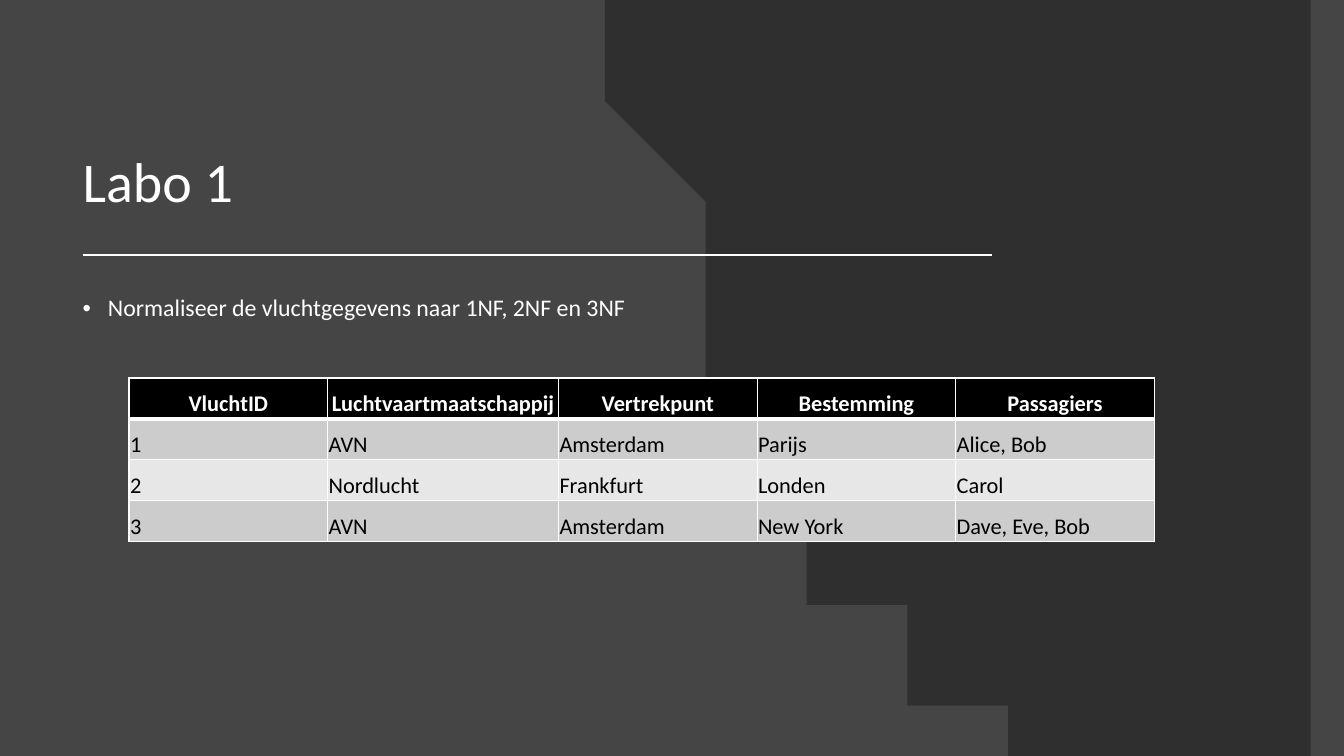
from lxml import etree
from pptx import Presentation, util as u
from pptx.dml.color import RGBColor
from pptx.enum import shapes, text
from pptx.oxml.ns import qn

Inches, Pt = u.Inches, u.Pt

WHITE = RGBColor(0xFF, 0xFF, 0xFF)
BLACK = RGBColor(0x00, 0x00, 0x00)
BACKGROUND = RGBColor(0x45, 0x45, 0x45)
CURVE = RGBColor(0x26, 0x26, 0x26)
BAND_DARK = RGBColor(0xCC, 0xCC, 0xCC)
BAND_LIGHT = RGBColor(0xE7, 0xE7, 0xE7)

FLIGHTS = [
    ["VluchtID", "Luchtvaartmaatschappij", "Vertrekpunt", "Bestemming", "Passagiers"],
    ["1", "AVN", "Amsterdam", "Parijs", "Alice, Bob"],
    ["2", "Nordlucht", "Frankfurt", "Londen", "Carol"],
    ["3", "AVN", "Amsterdam", "New York", "Dave, Eve, Bob"],
]


def bezier(p0, p1, p2, p3, steps=40):
    """Points along a cubic curve, without its start."""
    for i in range(1, steps + 1):
        t = i / steps
        weights = ((1 - t) ** 3, 3 * t * (1 - t) ** 2, 3 * t * t * (1 - t), t ** 3)
        yield tuple(sum(w * p[axis] for w, p in zip(weights, (p0, p1, p2, p3)))
                    for axis in (0, 1))


class Deck:
    font = "Calibri"

    def __init__(self, prs):
        self.s = prs.slides.add_slide(prs.slide_layouts[1])
        fill = self.s.background.fill
        fill.solid()
        fill.fore_color.rgb = BACKGROUND

    def run(self, p, words, size, color=WHITE, bold=False):
        r = p.add_run()
        r.text = words
        r.font.name, r.font.size = self.font, Pt(size)
        r.font.bold, r.font.color.rgb = bold, color

    def placeholder(self, sp, box, words, size, anchor, bullet=False):
        sp.left, sp.top, sp.width, sp.height = map(Inches, box)
        tf = sp.text_frame
        tf.word_wrap, tf.auto_size = True, text.MSO_AUTO_SIZE.NONE
        tf.vertical_anchor = anchor
        p = tf.paragraphs[0]
        p.alignment = text.PP_ALIGN.LEFT
        p.line_spacing, p.space_before = 0.9, Pt(0)
        if bullet:
            pPr = p._p.get_or_add_pPr()
            pPr.set("marL", str(Inches(0.25)))
            pPr.set("indent", str(Inches(-0.25)))
            etree.SubElement(pPr, qn("a:buFont"), typeface="Arial")
            etree.SubElement(pPr, qn("a:buChar"), char="•")
        self.run(p, words, size)

    def backdrop(self, points, color, opacity):
        builder = self.s.shapes.build_freeform(*points[0], scale=Inches(1))
        builder.add_line_segments(points[1:], close=True)
        sp = builder.convert_to_shape()
        sp.shadow.inherit = False
        sp.line.fill.background()
        sp.fill.solid()
        sp.fill.fore_color.rgb = color
        srgb = sp.fill._xPr.find(".//" + qn("a:srgbClr"))
        etree.SubElement(srgb, qn("a:alpha"), val=str(opacity * 1000))
        self.s.shapes._spTree.insert(2, sp._element)

    def rule(self, x1, x2, y, width):
        line = self.s.shapes.add_connector(
            shapes.MSO_CONNECTOR.STRAIGHT, *map(Inches, (x1, y, x2, y)))
        line.line.color.rgb, line.line.width = WHITE, Pt(width)
        etree.SubElement(line._element.spPr, qn("a:effectLst"))

    def border(self, cell, side, width):
        ln = etree.SubElement(cell._tc.get_or_add_tcPr(), qn("a:ln" + side),
                              w=str(Pt(width)))
        fill = etree.SubElement(ln, qn("a:solidFill"))
        etree.SubElement(fill, qn("a:srgbClr"), val=str(WHITE))

    def cell(self, cell, words, row):
        header = row == 0
        cell.margin_left = cell.margin_right = Inches(0.01)
        cell.margin_top = cell.margin_bottom = Inches(0.01)
        cell.vertical_anchor = text.MSO_ANCHOR.BOTTOM
        for side in "LRTB":
            heavy = (row, side) in ((0, "B"), (1, "T"))
            self.border(cell, side, 3 if heavy else 1)
        cell.fill.solid()
        cell.fill.fore_color.rgb = (
            BLACK if header else BAND_DARK if row % 2 else BAND_LIGHT)
        p = cell.text_frame.paragraphs[0]
        p.alignment = text.PP_ALIGN.CENTER if header else text.PP_ALIGN.LEFT
        p.line_spacing, p.space_after = 1.07, Pt(8)
        self.run(p, words, 16, WHITE if header else BLACK, header)

    def table(self, left, top, widths, row_height, rows):
        table = self.s.shapes.add_table(
            len(rows), len(widths), Inches(left), Inches(top),
            Inches(sum(widths)), Inches(row_height * len(rows))).table
        for column, width in zip(table.columns, widths):
            column.width = Inches(width)
        for i, row in enumerate(rows):
            table.rows[i].height = Inches(row_height)
            for j, words in enumerate(row):
                self.cell(table.cell(i, j), words, i)


def main():
    prs = Presentation()
    prs.slide_width, prs.slide_height = Inches(13.33), Inches(7.5)
    deck = Deck(prs)

    # Curved dark area on the right
    start, left_edge, end = (9.95, 7.42), (6.47, 0.88), (6.51, 0.07)
    deck.backdrop(
        [(6.52, 0), (13.33, 0), (13.33, 7.5), (10.07, 7.5), start,
         *bezier(start, (7.85, 6), (6.47, 3.6), left_edge),
         *bezier(left_edge, (6.47, 0.61), (6.48, 0.34), end)], CURVE, 70)

    # Title, rule and assignment
    title, body = deck.s.placeholders
    deck.placeholder(title, (0.72, 0.4, 9.86, 1.78), "Labo 1", 40,
                     text.MSO_ANCHOR.BOTTOM)
    deck.rule(0.82, 9.84, 2.53, 1.5)
    deck.placeholder(body, (0.72, 2.89, 9.86, 3.64),
                     "Normaliseer de vluchtgegevens naar 1NF, 2NF en 3NF", 17,
                     text.MSO_ANCHOR.TOP, bullet=True)

    # Flight data
    deck.table(1.28, 3.75, [1.97, 2.29, 1.97, 1.97, 1.97], 0.405, FLIGHTS)

    prs.save("out.pptx")


if __name__ == "__main__":
    main()
